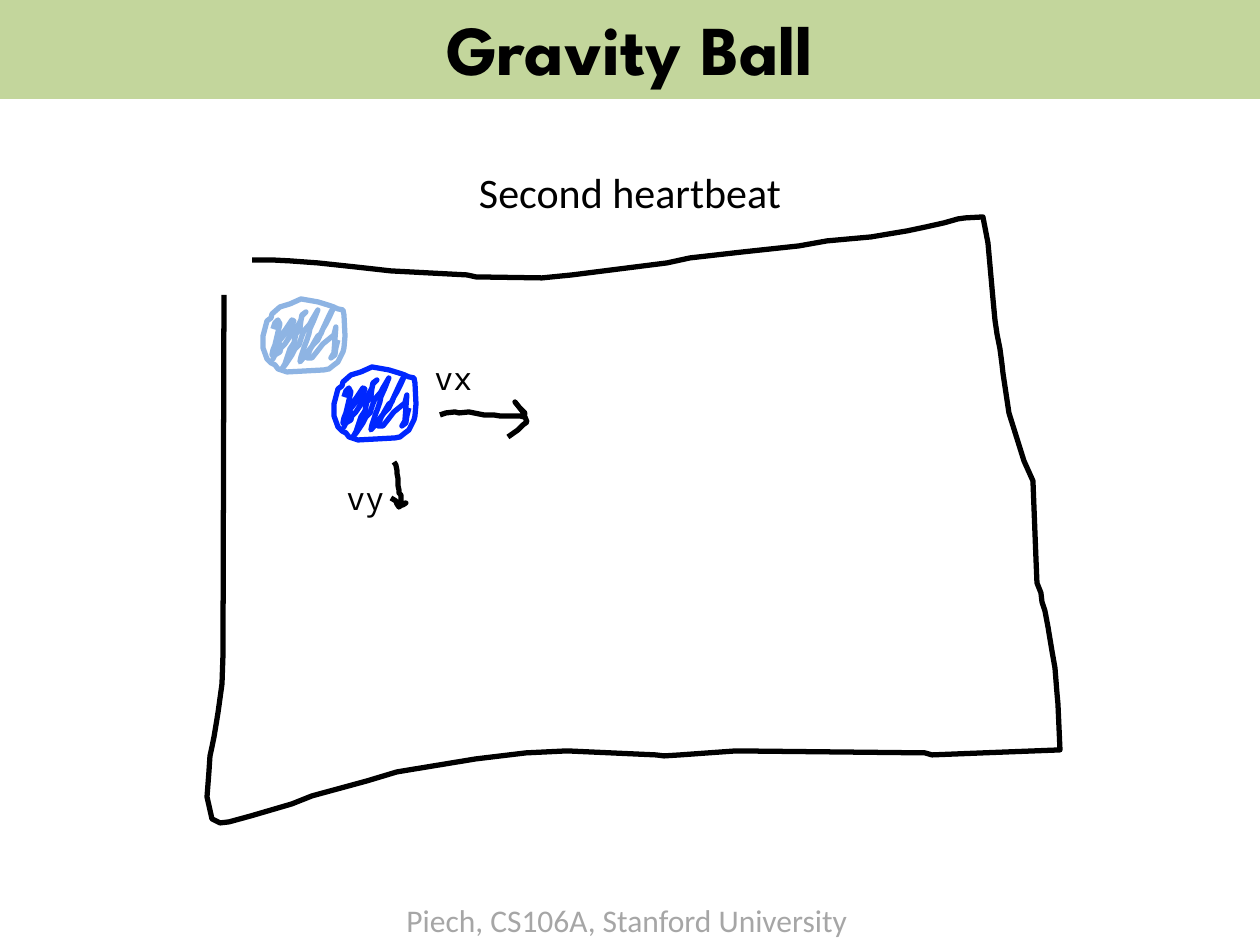
from lxml import etree
from pptx import Presentation
from pptx.dml.color import RGBColor
from pptx.enum.shapes import MSO_SHAPE
from pptx.enum.text import MSO_ANCHOR, PP_ALIGN
from pptx.oxml.ns import qn
from pptx.util import Emu, Pt

SCALE = 914400 / 126
SLIDE_W, SLIDE_H = 1260, 945
COLORS = {
    "band": "C3D69C",
    "ink": "000000",
    "footer": "A6A6A6",
    "old_ball": "8EB4E3",
    "new_ball": "0027FF",
}
BALL_STEP = (71, 68)  # how far the ball moves in one heartbeat

# Hand-drawn strokes, as (x, y) points in px
WORLD = [
    (224, 295), (223, 655), (222, 684), (218, 713), (214, 737), (212, 747),
    (210, 756), (209, 771), (207, 797), (212, 819), (220, 823), (229, 822),
    (251, 816), (292, 804), (312, 796), (367, 781), (397, 772), (476, 759),
    (526, 753), (567, 751), (656, 755), (664, 756), (680, 755), (736, 751),
    (925, 753), (932, 755), (983, 753), (1060, 750), (1058, 704), (1057, 693),
    (1055, 668), (1052, 651), (1048, 627), (1045, 611), (1042, 602),
    (1041, 593), (1037, 583), (1036, 559), (1033, 481), (1024, 461),
    (1009, 413), (1003, 373), (1002, 364), (1000, 349), (997, 334),
    (995, 320), (993, 299), (988, 243), (983, 217), (965, 218), (958, 219),
    (944, 223), (926, 227), (907, 231), (871, 237), (827, 241), (799, 246),
    (743, 252), (690, 258), (667, 263), (572, 275), (542, 278), (476, 277),
    (467, 275), (391, 271), (355, 267), (318, 263), (290, 261), (271, 260),
    (252, 260),
]
VX_ARROW = [
    (440, 415), (446, 413), (455, 412), (459, 413), (469, 412), (484, 415),
    (494, 415), (500, 416), (504, 416), (520, 416), (524, 417), (525, 413),
    (519, 407), (515, 402), (523, 412), (527, 422), (523, 425), (518, 430),
    (508, 437),
]
VY_ARROW = [
    (394, 462), (396, 465), (397, 470), (397, 473), (398, 478), (398, 485),
    (399, 490), (399, 493), (401, 495), (401, 503), (401, 505), (403, 505),
    (406, 503), (403, 504), (399, 507), (397, 504), (396, 501), (391, 498),
]
BALL_OUTLINE = [
    (290, 304), (280, 307), (272, 314), (271, 318), (267, 321), (263, 336),
    (263, 348), (267, 359), (271, 363), (275, 365), (278, 369), (287, 372),
    (324, 370), (329, 369), (334, 365), (338, 362), (343, 352), (344, 348),
    (345, 336), (344, 315), (343, 310), (338, 309), (331, 306), (318, 302),
    (301, 299),
]
BALL_SCRIBBLE = [
    (273, 329), (275, 323), (278, 320), (280, 324), (275, 345), (273, 350),
    (272, 355), (277, 344), (285, 334), (294, 321), (292, 320), (286, 329),
    (281, 336), (277, 350), (275, 355), (273, 359), (275, 355), (280, 352),
    (281, 348), (285, 344), (289, 338), (295, 329), (299, 324), (301, 320),
    (302, 315), (306, 312), (302, 316), (301, 321), (300, 329), (296, 334),
    (294, 343), (290, 349), (287, 358), (285, 364), (282, 369), (286, 364),
    (292, 355), (295, 349), (299, 345), (302, 336), (304, 331), (310, 324),
    (312, 320), (318, 310), (314, 320), (310, 329), (309, 334), (307, 340),
    (304, 348), (301, 357), (300, 362), (306, 355), (310, 349), (314, 344),
    (318, 340), (323, 329), (326, 324), (328, 320), (330, 316), (334, 307),
    (331, 312), (329, 316), (323, 329), (321, 334), (318, 336), (315, 341),
    (310, 350), (307, 358), (312, 358), (316, 353), (323, 344), (334, 335),
    (336, 327), (334, 353), (331, 358), (335, 355), (336, 348), (338, 340),
]


def px(length):
    return Emu(round(length * SCALE))


def rgb(name):
    return RGBColor.from_string(COLORS[name])


def write(frame, text, font, size, color, align=PP_ALIGN.LEFT, bold=False):
    paragraph = frame.paragraphs[0]
    paragraph.alignment = align
    run = paragraph.add_run()
    run.text = text
    run.font.name = font
    run.font.size = Pt(size)
    run.font.bold = bold
    run.font.color.rgb = rgb(color)


def add_label(slide, box, text, font, size, color="ink",
              align=PP_ALIGN.LEFT, wrap=False):
    label = slide.shapes.add_textbox(*map(px, box))
    label.text_frame.word_wrap = wrap
    write(label.text_frame, text, font, size, color, align)


def add_title_band(slide, text):
    band = slide.shapes.add_shape(
        MSO_SHAPE.RECTANGLE, px(0), px(-4), px(SLIDE_W), px(103))
    band.shadow.inherit = False
    band.fill.solid()
    band.fill.fore_color.rgb = rgb("band")
    band.line.fill.background()
    band.text_frame.vertical_anchor = MSO_ANCHOR.MIDDLE
    write(band.text_frame, text, "League Spartan", 40, "ink",
          PP_ALIGN.CENTER, bold=True)


def add_stroke(slide, points, color="ink", offset=(0, 0), close=False):
    dx, dy = offset
    start, *rest = [(x + dx, y + dy) for x, y in points]
    builder = slide.shapes.build_freeform(*start, scale=SCALE)
    builder.add_line_segments(rest, close=close)
    stroke = builder.convert_to_shape()
    stroke.shadow.inherit = False
    stroke.fill.background()
    stroke.line.color.rgb = rgb(color)
    stroke.line.width = Pt(3)
    # Round joins keep the pen look
    etree.SubElement(stroke.line._get_or_add_ln(), qn("a:round"))


def add_ball(slide, color, offset=(0, 0)):
    add_stroke(slide, BALL_OUTLINE, color, offset, close=True)
    add_stroke(slide, BALL_SCRIBBLE, color, offset)


def main():
    prs = Presentation()
    prs.slide_width, prs.slide_height = px(SLIDE_W), px(SLIDE_H)
    slide = prs.slides.add_slide(prs.slide_layouts[6])

    # Footer, title and caption
    add_label(slide, (394, 895, 471, 50),
              "Piech, CS106A, Stanford University", "Calibri", 18, "footer")
    add_title_band(slide, "Gravity Ball")
    add_label(slide, (0, 160, SLIDE_W, 63), "Second heartbeat", "Calibri", 24,
              align=PP_ALIGN.CENTER, wrap=True)

    # World and velocity arrows
    for points in (WORLD, VX_ARROW, VY_ARROW):
        add_stroke(slide, points)

    # Ball before and after the heartbeat
    add_ball(slide, "old_ball")
    add_ball(slide, "new_ball", BALL_STEP)

    # Velocity labels
    for text, left, top in (("vx", 422, 353), ("vy", 334, 473)):
        add_label(slide, (left, top, 63, 50), text, "Noto Sans Mono", 18)

    prs.save("out.pptx")


if __name__ == "__main__":
    main()
